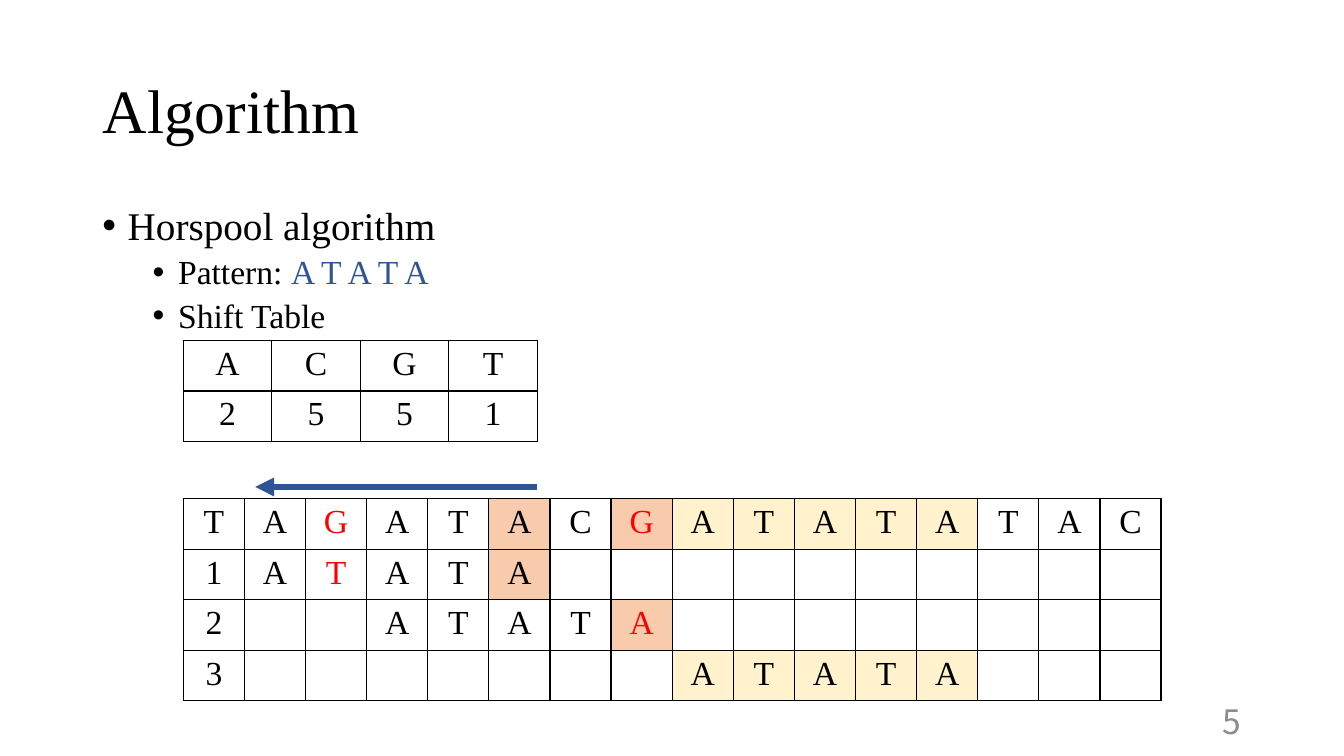
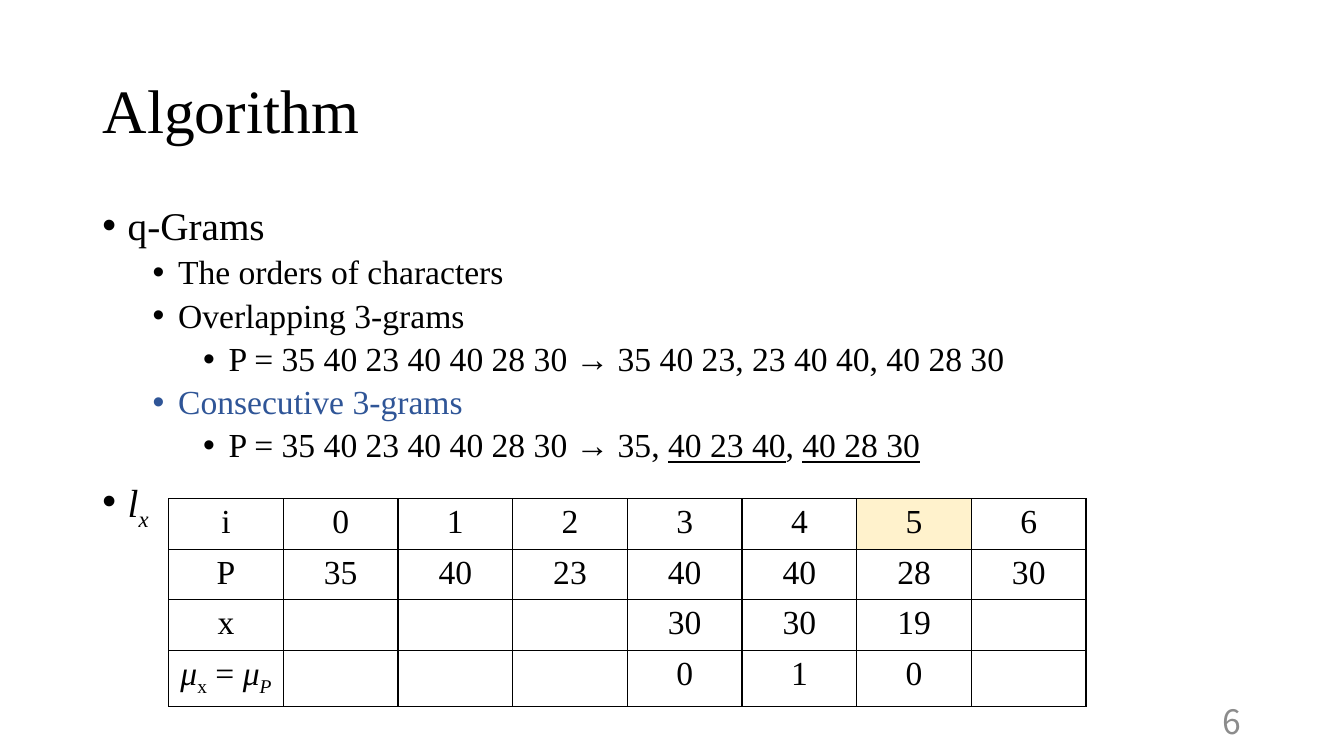
from lxml.etree import SubElement
from pptx import Presentation
from pptx.dml.color import RGBColor
from pptx.enum.shapes import MSO_CONNECTOR
from pptx.enum.text import MSO_ANCHOR, MSO_AUTO_SIZE, PP_ALIGN
from pptx.oxml.ns import qn
from pptx.util import Cm, Pt

SERIF = "Times New Roman"
SANS = "Noto Sans CJK JP"
BLACK, BLUE, RED, GRAY = "000000", "2F5597", "FF0000", "8C8C8C"
ORANGE, CREAM = "F8CBAD", "FFF2CC"
LEFT, WIDTH = 2.33, 29.21
GRID_LEFT, GRID_TOP, ROW_HEIGHT = 4.62, 12.57, 1.19
DNA_TEXT, PATTERN = "TAGATACGATATATAC", "ATATA"
BODY_SIZES = (28, 24, 24)


def color(hex_text):
    return RGBColor.from_string(hex_text)


def format_run(run, size, hex_text=BLACK, name=SERIF, italic=False,
               underline=False, subscript=False):
    font = run.font
    font.name, font.size = name, Pt(size)
    font.color.rgb = color(hex_text)
    if italic:
        font.italic = True
    if underline:
        font.underline = True
    if subscript:
        run._r.get_or_add_rPr().set("baseline", "-25000")


def write_runs(paragraph, content, size, **defaults):
    parts = [(content, {})] if isinstance(content, str) else content
    for text, style in parts:
        run = paragraph.add_run()
        run.text = text
        format_run(run, size, **{**defaults, **style})


def add_text_frame(slide, left, top, width, height):
    box = slide.shapes.add_textbox(Cm(left), Cm(top), Cm(width), Cm(height))
    box.text_frame.word_wrap = True
    return box.text_frame


def add_slide(presentation, title_text, number):
    slide = presentation.slides.add_slide(presentation.slide_layouts[5])
    title = slide.shapes.title
    title.left, title.top = Cm(LEFT), Cm(1.01)
    title.width, title.height = Cm(WIDTH), Cm(3.68)
    frame = title.text_frame
    frame.auto_size = MSO_AUTO_SIZE.NONE
    frame.vertical_anchor = MSO_ANCHOR.MIDDLE
    paragraph = frame.paragraphs[0]
    paragraph.alignment = PP_ALIGN.LEFT
    paragraph.line_spacing = 0.9
    write_runs(paragraph, title_text, 44)

    frame = add_text_frame(slide, 23.92, 17.65, 7.62, 1.02)
    frame.vertical_anchor = MSO_ANCHOR.MIDDLE
    paragraph = frame.paragraphs[0]
    paragraph.alignment = PP_ALIGN.RIGHT
    write_runs(paragraph, str(number), 24, hex_text=GRAY, name=SANS)
    return slide


def add_bullet(paragraph, level):
    properties = paragraph._p.get_or_add_pPr()
    properties.set("marL", str(Cm(0.64 + 1.27 * level)))
    properties.set("indent", str(-Cm(0.64)))
    SubElement(properties, qn("a:buFont"), typeface="Arial")
    SubElement(properties, qn("a:buChar"), char="•")


def add_bullets(slide, items):
    frame = add_text_frame(slide, LEFT, 5.08, WIDTH, 12.09)
    for index, (level, content) in enumerate(items):
        paragraph = frame.add_paragraph() if index else frame.paragraphs[0]
        add_bullet(paragraph, level)
        paragraph.level = level
        paragraph.line_spacing = 0.9
        if index:
            paragraph.space_before = Pt(5 if level else 10)
        write_runs(paragraph, content, BODY_SIZES[level])


def add_borders(cell):
    properties = cell._tc.get_or_add_tcPr()
    for side in ("lnL", "lnR", "lnT", "lnB"):
        line = SubElement(properties, qn(f"a:{side}"), w=str(Pt(1)))
        fill = SubElement(line, qn("a:solidFill"))
        SubElement(fill, qn("a:srgbClr"), val=BLACK)


def add_grid(slide, left, top, column_width, rows, fills=None, red_cells=()):
    fills = fills or {}
    column_count = len(rows[0])
    table = slide.shapes.add_table(
        len(rows), column_count, Cm(left), Cm(top),
        Cm(column_width * column_count), Cm(ROW_HEIGHT * len(rows))).table
    table.first_row = table.horz_banding = False
    for column in table.columns:
        column.width = Cm(column_width)
    for row_index, row in enumerate(rows):
        table.rows[row_index].height = Cm(ROW_HEIGHT)
        for column_index, content in enumerate(row):
            position = (row_index, column_index)
            cell = table.cell(*position)
            add_borders(cell)
            if position in fills:
                cell.fill.solid()
                cell.fill.fore_color.rgb = color(fills[position])
            else:
                cell.fill.background()
            if content:
                paragraph = cell.text_frame.paragraphs[0]
                paragraph.alignment = PP_ALIGN.CENTER
                write_runs(paragraph, content, 24,
                           hex_text=RED if position in red_cells else BLACK)


def add_arrow(slide, start_x, end_x, y):
    arrow = slide.shapes.add_connector(
        MSO_CONNECTOR.STRAIGHT, Cm(start_x), Cm(y), Cm(end_x), Cm(y))
    arrow.line.color.rgb = color(BLUE)
    arrow.line.width = Pt(4.5)
    SubElement(arrow.line._get_or_add_ln(), qn("a:tailEnd"), type="triangle")
    SubElement(arrow._element.spPr, qn("a:effectLst"))


def pattern_row(label, start):
    row = [label] + [""] * (len(DNA_TEXT) - 1)
    row[start:start + len(PATTERN)] = PATTERN
    return row


def build_horspool(presentation):
    slide = add_slide(presentation, "Algorithm", 5)
    add_bullets(slide, [
        (0, "Horspool algorithm"),
        (1, [("Pattern: ", {}), (" ".join(PATTERN), {"hex_text": BLUE})]),
        (1, "Shift Table"),
    ])
    fills = {position: ORANGE for position in ((0, 5), (1, 5), (0, 7), (2, 7))}
    fills.update({(row, column): CREAM for row in (0, 3) for column in range(8, 13)})
    rows = [list(DNA_TEXT), pattern_row("1", 1), pattern_row("2", 3), pattern_row("3", 8)]
    add_grid(slide, GRID_LEFT, GRID_TOP, 1.54, rows, fills,
             red_cells={(0, 2), (1, 2), (0, 7), (2, 7)})
    add_grid(slide, GRID_LEFT, 8.58, 2.23, ["ACGT", "2551"])
    add_arrow(slide, 13.54, 6.43, 12.27)


def build_grams(presentation):
    slide = add_slide(presentation, "Algorithm", 6)
    sequence = "P = 35 40 23 40 40 28 30 → "
    italic, underline = {"italic": True}, {"underline": True}
    italic_subscript = {"italic": True, "subscript": True}
    add_bullets(slide, [
        (0, "q-Grams"),
        (1, "The orders of characters"),
        (1, "Overlapping 3-grams"),
        (2, sequence + "35 40 23, 23 40 40, 40 28 30"),
        (1, [("Consecutive 3-grams", {"hex_text": BLUE})]),
        (2, [(sequence + "35, ", {}), ("40 23 40", underline),
             (", ", {}), ("40 28 30", underline)]),
        (0, [("l", italic), ("x", italic_subscript)]),
    ])
    equation = [("μ", italic), ("x", {"subscript": True}), (" = ", {}),
                ("μ", italic), ("P", italic_subscript)]
    rows = [
        ["i", "0", "1", "2", "3", "4", "5", "6"],
        ["P", "35", "40", "23", "40", "40", "28", "30"],
        ["x", "", "", "", "30", "30", "19", ""],
        [equation, "", "", "", "0", "1", "0", ""],
    ]
    add_grid(slide, 4.25, GRID_TOP, 2.89, rows, {(0, 6): CREAM})


def main():
    presentation = Presentation()
    presentation.slide_width, presentation.slide_height = Cm(33.87), Cm(19.05)
    build_horspool(presentation)
    build_grams(presentation)
    presentation.save("out.pptx")


if __name__ == "__main__":
    main()
